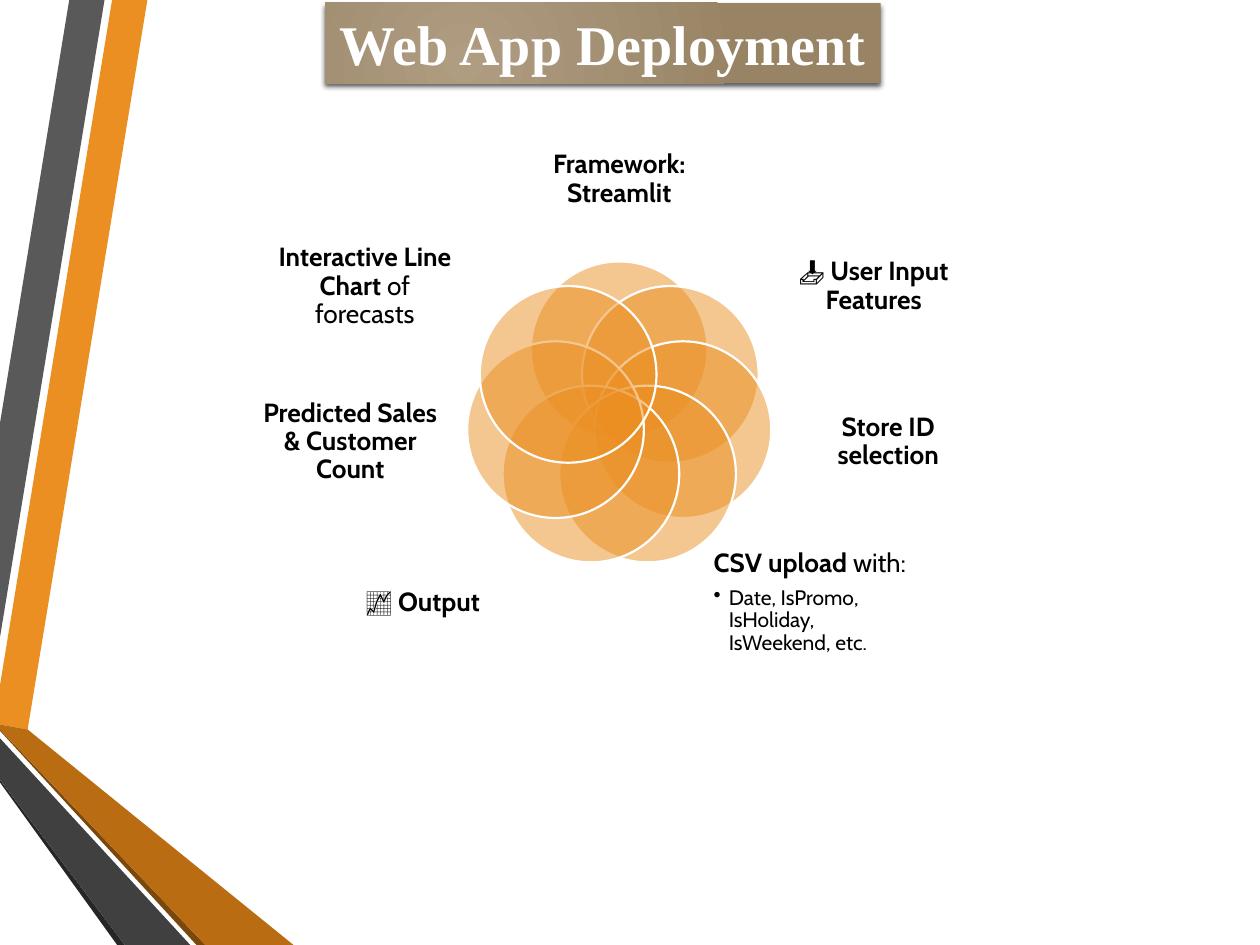
import math
from lxml import etree
from pptx import Presentation
from pptx import util as u
from pptx.dml.color import RGBColor
from pptx.enum import shapes, text
from pptx.oxml import parse_xml
from pptx.oxml.ns import nsdecls, qn

COLORS = {
    "orange": "EB8F22", "brown": "B96C11", "dark_brown": "7B480B",
    "gray": "595959", "charcoal": "404040", "near_black": "262626",
    "tan": "AF9C81", "dark_tan": "988365", "white": "FFFFFF", "black": "000000",
}

RIBBONS = [
    ("orange", [(0, 544), (0, 575), (22, 579), (117, 0), (89, 0)]),
    ("gray", [(83, 0), (55, 0), (0, 336), (0, 506)]),
    ("near_black", [(0, 619), (0, 621), (93, 750), (99, 750)]),
    ("dark_brown", [(0, 579), (0, 580), (156, 750), (163, 750)]),
    ("brown", [(0, 579), (163, 750), (233, 750), (22, 579), (0, 575)]),
    ("charcoal", [(0, 619), (99, 750), (151, 750), (0, 586)]),
]

LABEL_ROWS = [(0, 0.10, 0.28, 0.20), (0.35, 0.30, 0.26, 0.22),
              (0.37, 0.59, 0.25, 0.24), (0.27, 0.89, 0.28, 0.21)]
PETALS = [
    ("Framework: Streamlit", "", ""),
    ("📥 User Input Features", "", ""),
    ("Store ID selection", "", ""),
    ("CSV upload", " with:", "Date, IsPromo, IsHoliday, IsWeekend, etc."),
    ("📈 Output", "", ""),
    ("Predicted Sales & Customer Count", "", ""),
    ("Interactive Line Chart", " of forecasts", ""),
]


def rgb(name):
    return RGBColor.from_string(COLORS[name])


def write(paragraph, words, size=15, font="Cabin", color="black", bold=False):
    run = paragraph.add_run()
    run.text = words
    run.font.size = u.Pt(size)
    run.font.name = font
    run.font.bold = bold
    run.font.color.rgb = rgb(color)


def draw_ribbons(slide, box):
    left, top, width, height = box
    for color, points in RIBBONS:
        outline = slide.shapes.build_freeform(*points[0], scale=(width / 1000, height / 750))
        outline.add_line_segments(points[1:], close=True)
        ribbon = outline.convert_to_shape(left, top)
        ribbon.shadow.inherit = False
        ribbon.fill.solid()
        ribbon.fill.fore_color.rgb = rgb(color)
        ribbon.line.fill.background()


def draw_title(slide, box):
    title = slide.shapes.title
    title.left, title.top, title.width, title.height = box
    frame = title.text_frame
    frame.word_wrap = False
    frame.auto_size = text.MSO_AUTO_SIZE.NONE
    frame.vertical_anchor = text.MSO_ANCHOR.MIDDLE
    frame.paragraphs[0].alignment = text.PP_ALIGN.CENTER
    write(frame.paragraphs[0], "Web App Deployment", size=32,
          font="Times New Roman", color="white", bold=True)
    properties = title._element.spPr
    properties.append(parse_xml(
        f'<a:prstGeom {nsdecls("a")} prst="rect"><a:avLst/></a:prstGeom>'))
    properties.append(parse_xml(
        f'<a:gradFill {nsdecls("a")} rotWithShape="1"><a:gsLst>'
        f'<a:gs pos="0"><a:srgbClr val="{COLORS["tan"]}"/></a:gs>'
        f'<a:gs pos="100000"><a:srgbClr val="{COLORS["dark_tan"]}"/></a:gs></a:gsLst>'
        '<a:path path="circle"><a:fillToRect l="50000" t="100000" r="100000" b="50000"/>'
        '</a:path></a:gradFill>'))
    properties.append(parse_xml(
        f'<a:effectLst {nsdecls("a")}><a:outerShdw blurRad="38100" dist="25400" '
        f'dir="5400000" rotWithShape="0"><a:srgbClr val="{COLORS["black"]}">'
        '<a:alpha val="64000"/></a:srgbClr></a:outerShdw></a:effectLst>'))


def draw_petal(slide, box):
    petal = slide.shapes.add_shape(shapes.MSO_SHAPE.OVAL, *box)
    petal.shadow.inherit = False
    petal.fill.solid()
    petal.fill.fore_color.rgb = rgb("orange")
    tint = petal._element.spPr.find(qn("a:solidFill"))[0]
    etree.SubElement(tint, qn("a:alpha")).set("val", "50000")
    petal.line.color.rgb = rgb("white")
    petal.line.width = u.Pt(1.25)


def draw_label(slide, box, strong, plain, detail):
    frame = slide.shapes.add_textbox(*box).text_frame
    frame.word_wrap = True
    frame.vertical_anchor = text.MSO_ANCHOR.MIDDLE
    frame.margin_left = frame.margin_right = frame.margin_top = frame.margin_bottom = 0
    heading = frame.paragraphs[0]
    heading.alignment = text.PP_ALIGN.LEFT if detail else text.PP_ALIGN.CENTER
    heading.line_spacing = 0.9
    heading.space_after = u.Pt(5)
    write(heading, strong, bold=True)
    if plain:
        write(heading, plain)
    if detail:
        bullet = frame.add_paragraph()
        bullet.line_spacing = 0.9
        bullet.space_after = u.Pt(2)
        write(bullet, detail, size=12)
        layout = bullet._p.get_or_add_pPr()
        layout.set("lvl", "1")
        layout.set("marL", str(u.Inches(0.12)))
        layout.set("indent", str(-u.Inches(0.12)))
        etree.SubElement(layout, qn("a:buChar")).set("char", "•")


def draw_flower(slide, box):
    left, top, width, height = box
    center_x, center_y = left + width / 2, top + 0.54 * height
    ring, diameter = 0.122 * height, 0.33 * height
    for index, (strong, plain, detail) in enumerate(PETALS):
        angle = 2 * math.pi * index / len(PETALS)
        x = center_x + ring * math.sin(angle)
        y = center_y - ring * math.cos(angle)
        draw_petal(slide, [round(v) for v in
                           (x - diameter / 2, y - diameter / 2, diameter, diameter)])
        mirrored = index > len(PETALS) // 2
        offset, row, wide, tall = LABEL_ROWS[len(PETALS) - index if mirrored else index]
        column = 0.5 - offset if mirrored else 0.5 + offset
        draw_label(slide, [round(v) for v in
                           (left + (column - wide / 2) * width,
                            top + (row - tall / 2) * height,
                            wide * width, tall * height)], strong, plain, detail)


def main():
    deck = Presentation()
    deck.slide_width, deck.slide_height = u.Inches(10), u.Inches(7.5)
    slide = deck.slides.add_slide(deck.slide_layouts[5])
    draw_ribbons(slide, (0, 0, deck.slide_width, deck.slide_height))
    draw_title(slide, [u.Inches(v) for v in (2.58, 0.02, 4.41, 0.64)])
    draw_flower(slide, [u.Inches(v) for v in (2.03, 1, 5.77, 4.25)])
    deck.save("out.pptx")


if __name__ == "__main__":
    main()
